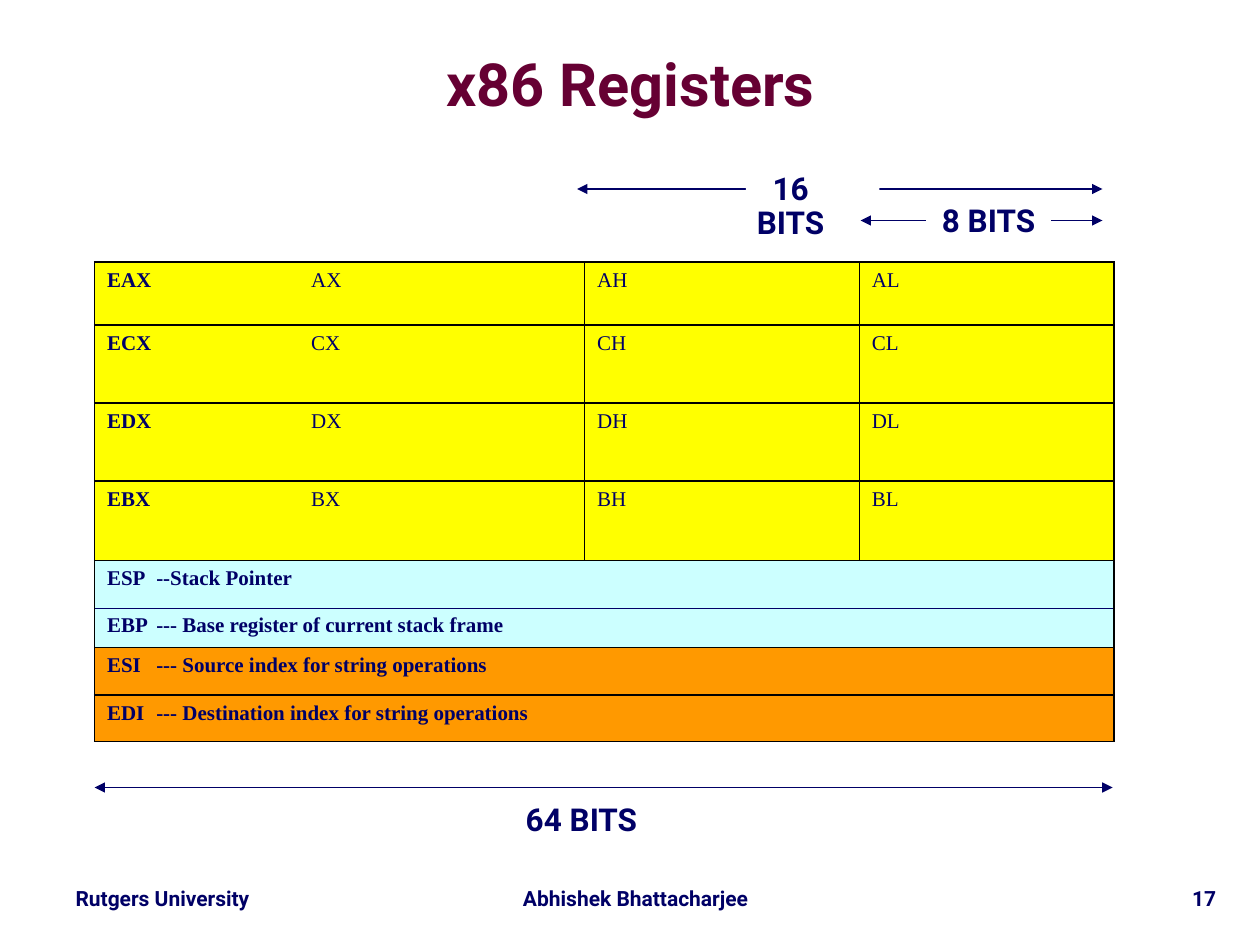
from pptx import Presentation
from pptx.dml.color import RGBColor
from pptx.enum.shapes import MSO_CONNECTOR as Conn, MSO_SHAPE as Shape
from pptx.enum.text import MSO_ANCHOR as Anchor, PP_ALIGN as Align
from pptx.oxml.ns import qn
from pptx.util import Inches, Pt
from lxml.etree import SubElement as Sub

COLORS = {"navy": "000066", "wine": "660033", "white": "FFFFFF", "black": "000000",
          "yellow": "FFFF00", "aqua": "CCFFFF", "orange": "FF9900"}
SANS, SERIF = "Roboto", "Times New Roman"


def rgb(name):
    return RGBColor.from_string(COLORS[name])


class Page:
    def __init__(self, deck):
        self.slide = deck.slides.add_slide(deck.slide_layouts[5])
        self.shapes = self.slide.shapes

    def style(self, para, size, face=SANS, color="navy", bold=True):
        font = para.font
        font.size, font.name, font.bold = Pt(size), face, bold
        font.color.rgb = rgb(color)

    def title(self, text, box):
        shape = self.shapes.title
        shape.left, shape.top, shape.width, shape.height = map(Inches, box)
        frame = shape.text_frame
        frame.text = text
        frame.vertical_anchor = Anchor.MIDDLE
        frame.margin_left = frame.margin_right = 0
        frame.margin_top = frame.margin_bottom = 0
        para = frame.paragraphs[0]
        para.alignment, para.line_spacing = Align.CENTER, 0.87
        self.style(para, 34, color="wine")

    def put(self, frame, text, size, align=Align.CENTER):
        para = frame.paragraphs[0]
        para.text = text
        para.alignment, para.line_spacing = align, 0.9
        self.style(para, size)

    def footer(self, text, box, align=Align.CENTER):
        frame = self.shapes.add_textbox(*map(Inches, box)).text_frame
        frame.word_wrap = True
        self.put(frame, text, 12, align)

    def line(self, left, right, y, heads=True):
        line = self.shapes.add_connector(
            Conn.STRAIGHT, Inches(left), Inches(y), Inches(right), Inches(y))
        line.line.color.rgb = rgb("navy")
        line.line.width = Pt(0.75)
        props = line.line._get_or_add_ln()
        for end in ("a:headEnd", "a:tailEnd") if heads else ():
            Sub(props, qn(end), type="triangle")
        Sub(line._element.spPr, qn("a:effectLst"))

    def label(self, text, box, narrow=False):
        """Draw a white box over a line; narrow breaks its text in two."""
        shape = self.shapes.add_shape(Shape.RECTANGLE, *map(Inches, box))
        shape.shadow.inherit = False
        shape.fill.solid()
        shape.fill.fore_color.rgb = rgb("white")
        shape.line.fill.background()
        frame = shape.text_frame
        frame.vertical_anchor = Anchor.TOP
        frame.word_wrap = narrow
        if narrow:
            frame.margin_left, frame.margin_right = Inches(0.05), Inches(0.4)
        self.put(frame, text, 18)

    def border(self, cell):
        props = cell._tc.get_or_add_tcPr()
        for side in "LRTB":
            edge = Sub(props, qn("a:ln" + side), w=str(Pt(1)))
            fill = Sub(edge, qn("a:solidFill"))
            Sub(fill, qn("a:srgbClr"), val=COLORS["black"])

    def fill(self, cell, lines, color, tab=None, bold=True):
        """Fill a cell; each line is a list of (text, bold) runs."""
        cell.fill.solid()
        cell.fill.fore_color.rgb = rgb(color)
        for num, runs in enumerate(lines):
            frame = cell.text_frame
            para = frame.add_paragraph() if num else frame.paragraphs[0]
            if num:
                para.space_before = Pt(13.5)
            if tab:
                stops = Sub(para._p.get_or_add_pPr(), qn("a:tabLst"))
                Sub(stops, qn("a:tab"), pos=str(Inches(tab)), algn="l")
            self.style(para, 12, SERIF, bold=bold)
            for text, heavy in runs:
                run = para.add_run()
                run.text = text
                if heavy != bold:
                    run.font.bold = heavy

    def table(self, box, cols, rows):
        grid = self.shapes.add_table(len(rows), len(cols), *map(Inches, box)).table
        grid.first_row = grid.horz_banding = False
        for col, width in zip(grid.columns, cols):
            col.width = Inches(width)
        for row, height in zip(grid.rows, rows):
            row.height = Inches(height)
            for cell in row.cells:
                self.border(cell)
        return grid


def main():
    deck = Presentation()
    deck.slide_width, deck.slide_height = Inches(10), Inches(7.5)
    page = Page(deck)

    page.footer("Rutgers University", (0.33, 7, 1.92, 0.28))
    page.footer("Abhishek Bhattacharjee", (3.92, 7, 2.25, 0.28))
    page.footer("17", (8.17, 7, 1.58, 0.3), Align.RIGHT)
    page.title("x86 Registers", (0.31, 0.27, 9.39, 0.85))

    grid = page.table((0.75, 2.08, 8.08, 3.78), (3.89, 2.18, 2.02),
                      (0.5, 0.62, 0.62, 0.63, 0.66, 0.38, 0.37))
    for row, key in enumerate("ACDB"):
        names = [(f"E{key}X", True), (f"\t{key}X", False)]
        page.fill(grid.cell(row, 0), [names], "yellow", tab=1.62)
        for col, half in enumerate("HL", 1):
            page.fill(grid.cell(row, col), [[(key + half, False)]], "yellow", bold=False)

    wide = [("aqua", ["ESP\t--Stack Pointer",
                      "EBP\t--- Base register of current stack frame"]),
            ("orange", ["ESI\t--- Source index for string operations"]),
            ("orange", ["EDI\t--- Destination index for string operations"])]
    for row, (color, lines) in enumerate(wide, 4):
        cell = grid.cell(row, 0)
        cell.merge(grid.cell(row, 2))
        page.fill(cell, [[(text, True)] for text in lines], color, tab=0.39)

    page.line(4.58, 8.75, 1.5)
    page.label("16 BITS", (5.92, 1.33, 1.06, 0.4), narrow=True)
    page.line(0.75, 8.83, 6.25)
    page.label("64 BITS", (4.05, 6.33, 1.13, 0.38))
    page.line(0.75, 8.83, 4.83, heads=False)
    page.line(6.83, 8.75, 1.75)
    page.label("8 BITS", (7.35, 1.58, 0.99, 0.37))

    deck.save("out.pptx")


if __name__ == "__main__":
    main()
